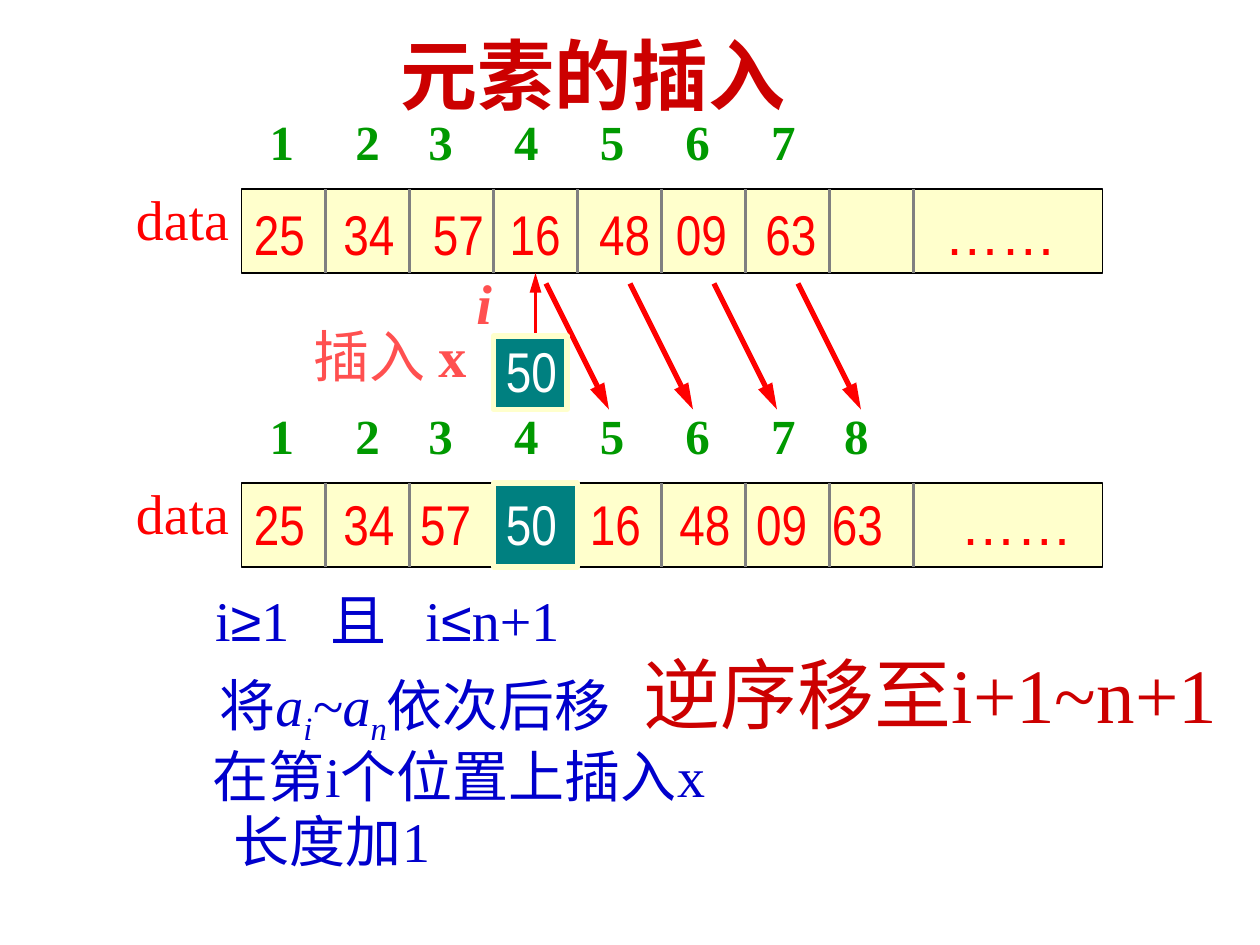
from dataclasses import dataclass
from typing import Optional

from lxml import etree
from pptx import Presentation
from pptx import util as u
from pptx.dml.color import RGBColor
from pptx.enum import shapes, text
from pptx.oxml.ns import qn


@dataclass(frozen=True)
class Theme:
    serif: str = "Times New Roman"
    narrow: str = "Arial Narrow"
    sans: str = "Arial"
    title_size: int = 44
    body_size: int = 32
    index_size: int = 28
    dark_red: str = "CC0000"
    red: str = "FF0000"
    coral: str = "FF5050"
    green: str = "009900"
    blue: str = "0000CC"
    teal: str = "008080"
    cream: str = "FFFFCC"
    gray: str = "808080"
    black: str = "000000"
    white: str = "FFFFFF"


THEME = Theme()
COLUMNS, ROWS = 120, 90  # slide grid, twelve steps to the inch
CELL = 8  # side of one array cell, in grid steps
ARRAY_LEFT, ARRAY_WIDTH = 23, 82
DIVIDERS = 8
SLACK = 1  # spare width that keeps each label on one line


@dataclass(frozen=True)
class Run:
    text: str
    font: Optional[str] = None
    bold: Optional[bool] = None
    italic: bool = False
    subscript: bool = False


@dataclass(frozen=True)
class Label:
    """Text on the grid; tabs are tab stops in inches from the text edge."""
    left: float
    top: float
    width: float
    height: float
    runs: tuple[Run, ...]
    color: str
    size: int = THEME.body_size
    font: str = THEME.serif
    bold: bool = False
    tabs: tuple[float, ...] = ()


def grid(steps: float) -> u.Length:
    return u.Inches(10 * steps / COLUMNS)


def color(value: str) -> RGBColor:
    return RGBColor.from_string(value)


def draw_label(parent, label: Label) -> None:
    box = parent.add_textbox(
        *map(grid, (label.left, label.top, label.width + SLACK, label.height)))
    frame = box.text_frame
    frame.word_wrap = True
    frame.auto_size = text.MSO_AUTO_SIZE.NONE
    paragraph = frame.paragraphs[0]
    if label.tabs:
        stops = etree.SubElement(paragraph._p.get_or_add_pPr(), qn("a:tabLst"))
        for position in label.tabs:
            etree.SubElement(stops, qn("a:tab"), pos=str(u.Inches(position)), algn="l")
    for part in label.runs:
        run = paragraph.add_run()
        run.text = part.text
        run.font.name = part.font or label.font
        run.font.size = u.Pt(label.size)
        run.font.bold = label.bold if part.bold is None else part.bold
        run.font.italic = part.italic
        run.font.color.rgb = color(label.color)
        if part.subscript:
            run.font._element.set("baseline", "-25000")


def draw_rectangle(parent, left: float, top: float, width: float, height: float,
                   fill: str, line: str, weight: float) -> None:
    shape = parent.add_shape(shapes.MSO_SHAPE.RECTANGLE,
                             *map(grid, (left, top, width, height)))
    shape.shadow.inherit = False
    shape.fill.solid()
    shape.fill.fore_color.rgb = color(fill)
    shape.line.color.rgb = color(line)
    shape.line.width = u.Pt(weight)


def draw_line(parent, x1: float, y1: float, x2: float, y2: float,
              line: str, weight: float, arrow: bool = False) -> None:
    connector = parent.add_connector(shapes.MSO_CONNECTOR.STRAIGHT,
                                     *map(grid, (x1, y1, x2, y2)))
    connector.line.color.rgb = color(line)
    connector.line.width = u.Pt(weight)
    if arrow:
        etree.SubElement(connector.line._get_or_add_ln(), qn("a:tailEnd"),
                         type="triangle", w="med", len="lg")
    etree.SubElement(connector._element.spPr, qn("a:effectLst"))


def draw_array(parent, top: float, index_text: str, index_width: float,
               index_tabs: tuple[float, ...]) -> None:
    """Frame, cell dividers, name and position numbers of one array."""
    draw_rectangle(parent, ARRAY_LEFT, top, ARRAY_WIDTH, CELL, THEME.cream, THEME.black, 0.75)
    for number in range(1, DIVIDERS + 1):
        x = ARRAY_LEFT + number * CELL
        draw_line(parent, x, top, x, top + CELL, THEME.gray, 2.25)
    draw_label(parent, Label(24.5, top - 8, index_width, 6.8, (Run(index_text),), THEME.green,
                             THEME.index_size, bold=True, tabs=index_tabs))
    draw_label(parent, Label(11.75, top - 1, 11.25, 7.7, (Run("data"),), THEME.red))


def values(left: float, top: float, width: float, content: str, tabs: tuple[float, ...],
           more: bool = True) -> Label:
    runs = (Run(content), Run("……", THEME.sans)) if more else (Run(content),)
    return Label(left, top, width, 7.7, runs, THEME.red, font=THEME.narrow, tabs=tabs)


def draw_new_element(parent, top: float, side: float, text_top: float) -> None:
    draw_rectangle(parent, 47, top, side, side, THEME.teal, THEME.cream, 3)
    draw_label(parent, Label(47, text_top, 7.2, 7.7, (Run("50"),), THEME.white,
                             font=THEME.narrow))


INDEX_TABS = (0.68, 1.26, 1.94, 2.62, 3.3, 3.98, 4.56)

TITLE = Label(37, 2, 39.4, 10, (Run("元素的插入"),), THEME.dark_red,
              THEME.title_size, bold=True)

STEPS = (
    Label(19.7, 63.25, 42.2, 8.5,
          (Run("将"), Run("a", italic=True), Run("i", italic=True, subscript=True),
           Run("~a", italic=True), Run("n", italic=True, subscript=True), Run("依次后移")),
          THEME.blue),
    Label(60.1, 61, 58.8, 10, (Run("逆序移至i+1~n+1"),), THEME.dark_red, THEME.title_size),
    Label(19.1, 70, 53, 7.7, (Run("在第i个位置上插入x"),), THEME.blue),
    Label(21.1, 76.25, 22.3, 7.7, (Run("长度加1"),), THEME.blue),
    Label(19.3, 55.2, 37.8, 7.7,
          (Run("i"), Run("≥", THEME.sans), Run("1\t且\ti"), Run("≤", THEME.sans), Run("n+1")),
          THEME.blue, tabs=(0.92, 1.67)),
)


def main() -> None:
    presentation = Presentation()
    presentation.slide_width, presentation.slide_height = grid(COLUMNS), grid(ROWS)
    slide = presentation.slides.add_slide(presentation.slide_layouts[6])
    draw_label(slide.shapes, TITLE)

    # Array before the insertion
    before = slide.shapes.add_group_shape().shapes
    draw_array(before, 18, "1\t2\t3\t4\t5\t6\t7", 52.4, INDEX_TABS[:-1])
    draw_label(before, values(ARRAY_LEFT, 18.4, 80.9, "25\t34\t57\t16\t48\t09\t63\t",
                              (0.71, 1.42, 2.03, 2.74, 3.35, 4.06, 5.48)))

    # Elements moving one cell to the right
    moves = slide.shapes.add_group_shape().shapes
    for number in range(4):
        x = 52 + number * CELL
        draw_line(moves, x, 27, x + 6, 39, THEME.red, 3, arrow=True)

    # Element to insert
    insertion = slide.shapes.add_group_shape().shapes
    draw_line(insertion, 51, 32, 51, 26, THEME.red, 2.25, arrow=True)
    draw_new_element(insertion, 32, 7, 31.5)
    draw_label(insertion, Label(28.7, 30, 19.7, 7.7, (Run("插入 "), Run("x", bold=True)),
                                THEME.coral))
    draw_label(insertion, Label(44.2, 25, 3.8, 7.7, (Run("i", italic=True),), THEME.coral,
                                bold=True))

    # Array after the insertion
    after = slide.shapes.add_group_shape().shapes
    draw_array(after, 46, "1\t2\t3\t4\t5\t6\t7\t8", 59.4, INDEX_TABS)
    draw_new_element(after, 46, CELL, 46)
    draw_label(after, values(ARRAY_LEFT, 46, 23, "25\t34\t57", (0.71, 1.32), more=False))

    # Conditions and steps
    for step in STEPS:
        draw_label(slide.shapes, step)
    draw_label(slide.shapes, values(55, 46, 48.4, "16\t48\t09\t63\t",
                                    (0.71, 1.32, 1.92, 2.94)))
    presentation.save("out.pptx")


if __name__ == "__main__":
    main()
